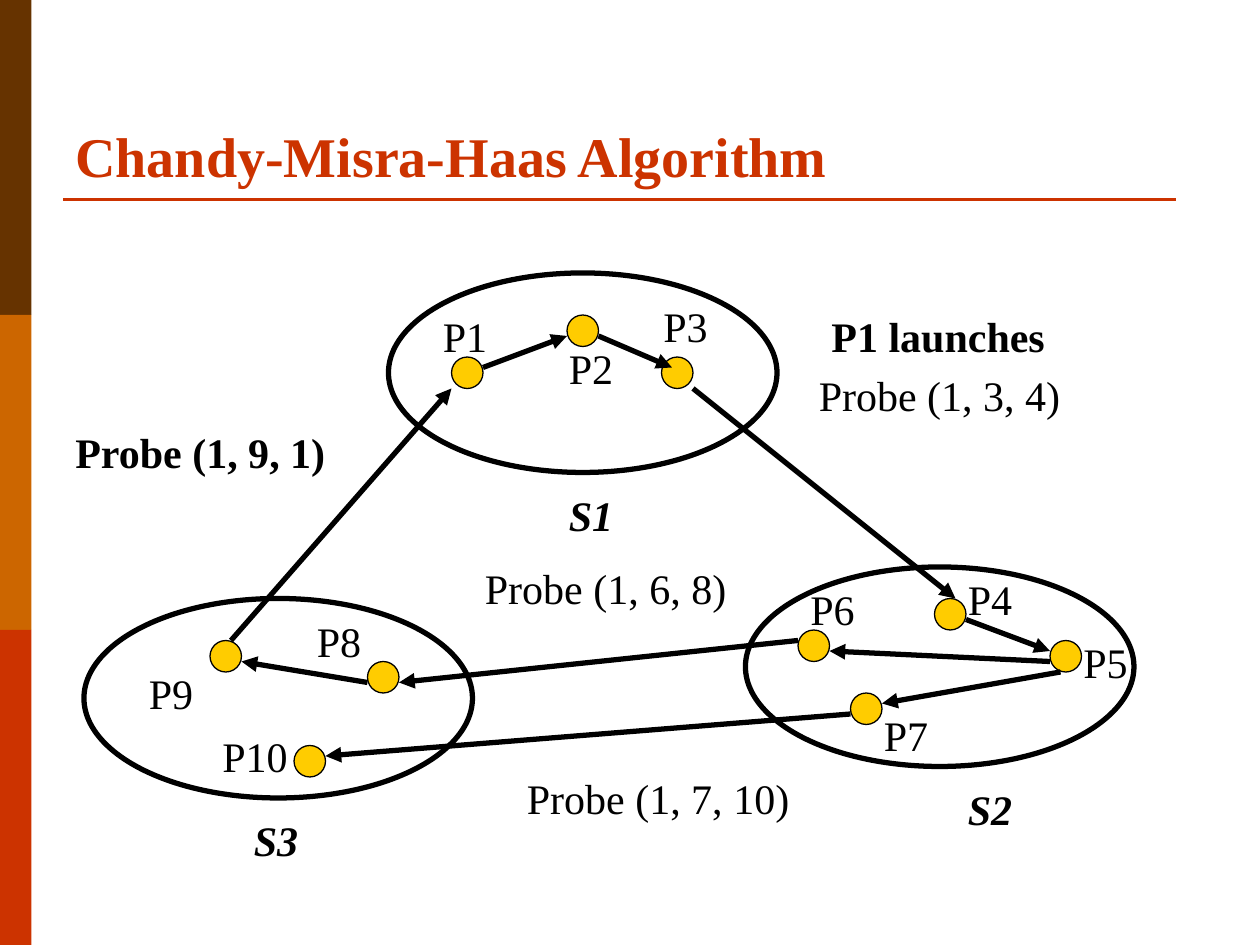
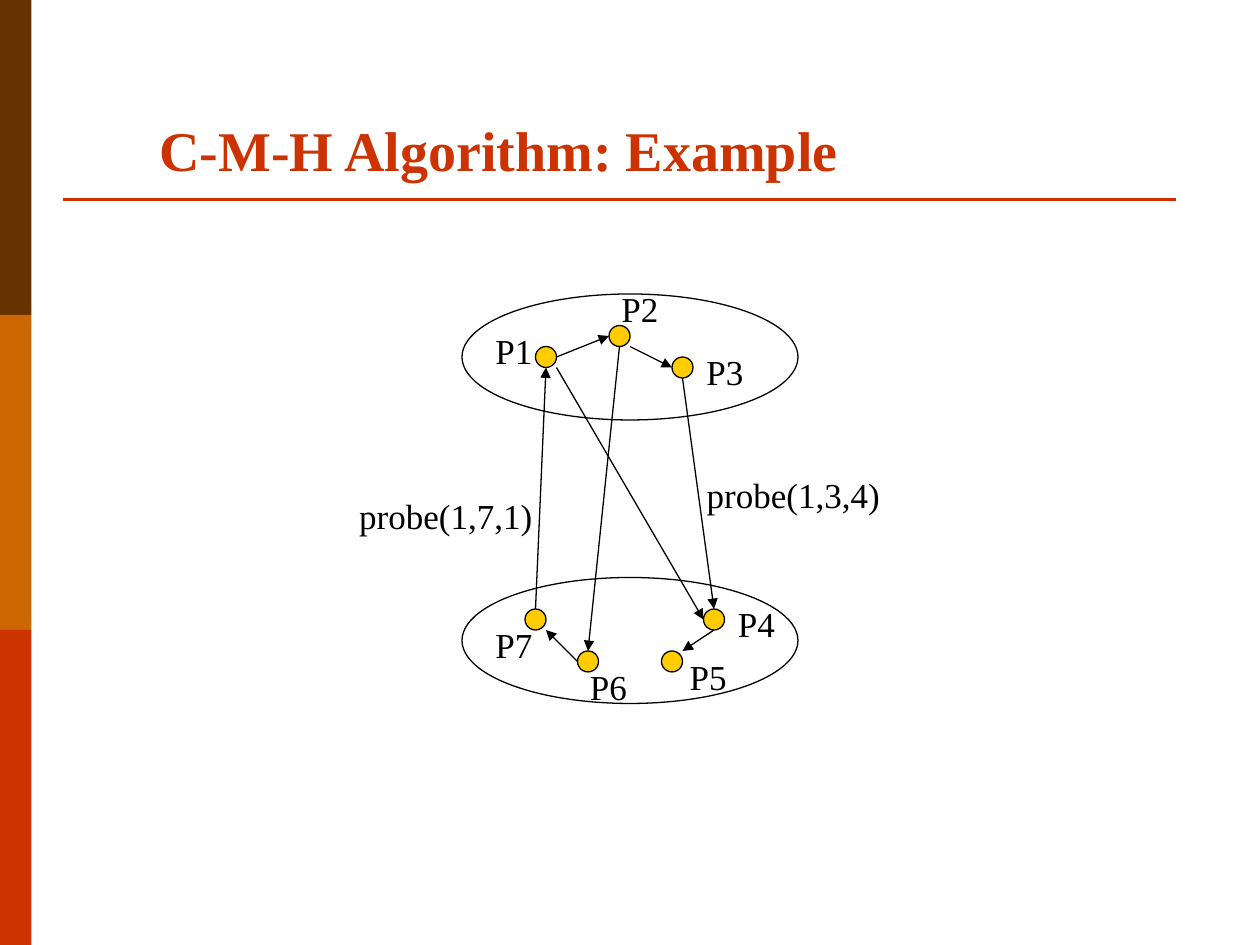
import dataclasses

import pptx
import pptx.util
import pptx.dml.color
import pptx.enum.shapes
import pptx.enum.text
import pptx.oxml.ns

Kind = pptx.enum.shapes.MSO_SHAPE
Align = pptx.enum.text.PP_ALIGN
Anchor = pptx.enum.text.MSO_ANCHOR
Fit = pptx.enum.text.MSO_AUTO_SIZE


@dataclasses.dataclass(frozen=True)
class Theme:
    font: str = "Times New Roman"
    ink: str = "000000"
    accent: str = "CC3300"
    node: str = "FFCC00"
    bands: tuple = ("663300", "CC6600", "CC3300")
    title: int = 32
    large: int = 24
    small: int = 20
    thin: float = 0.75
    rule: float = 1.5
    thick: float = 3


def unit(count):
    """Turn grid steps, twelve to 2.54 cm, into a length."""
    return pptx.util.Cm(count * 2.54 / 12)


def paint(code):
    return pptx.dml.color.RGBColor.from_string(code)


def assign(target, values):
    for name, value in values.items():
        setattr(target, name, value)


class Deck:
    wide, high = 120, 90

    def __init__(self, theme):
        self.theme = theme
        self.file = pptx.Presentation()
        assign(self.file, {"slide_width": unit(self.wide),
                           "slide_height": unit(self.high)})
        self.slide = None

    def start(self, title, box):
        """Add a slide with side bands, rule and title."""
        look = self.theme
        self.slide = self.file.slides.add_slide(self.file.slide_layouts[6])
        step = self.high / len(look.bands)
        for row, color in enumerate(look.bands):
            self.shape(Kind.RECTANGLE, (0, row * step, 3, step), color)
        self.line((6, 19), (112, 19), look.rule, look.accent)
        self.text(title, box, look.title, look.accent, bold=True,
                  anchor=Anchor.BOTTOM, wrap=True)

    def shape(self, kind, box, fill=None, width=None):
        item = self.slide.shapes.add_shape(kind, *map(unit, box))
        item.shadow.inherit = False
        if fill:
            item.fill.solid()
            item.fill.fore_color.rgb = paint(fill)
        else:
            item.fill.background()
        if width:
            item.line.color.rgb = paint(self.theme.ink)
            item.line.width = pptx.util.Pt(width)
        else:
            item.line.fill.background()

    def site(self, box, width):
        self.shape(Kind.OVAL, box, width=width)

    def node(self, spot, size):
        self.shape(Kind.OVAL, (*spot, size, size), self.theme.node, self.theme.thin)

    def line(self, begin, end, width, color=None, arrow=False):
        item = self.slide.shapes.add_connector(
            pptx.enum.shapes.MSO_CONNECTOR.STRAIGHT, *map(unit, begin + end))
        item.line.color.rgb = paint(color or self.theme.ink)
        item.line.width = pptx.util.Pt(width)
        props = item._element.spPr
        if arrow:
            edge = props.find(pptx.oxml.ns.qn("a:ln"))
            edge.append(edge.makeelement(pptx.oxml.ns.qn("a:tailEnd"),
                                         {"type": "triangle"}))
        props.append(props.makeelement(pptx.oxml.ns.qn("a:effectLst")))

    def text(self, words, box, size, color=None, bold=False, italic=False,
             align=Align.LEFT, anchor=Anchor.TOP, wrap=False):
        frame = self.slide.shapes.add_textbox(*map(unit, box)).text_frame
        assign(frame, {"word_wrap": wrap, "vertical_anchor": anchor,
                       "auto_size": Fit.NONE if wrap else Fit.SHAPE_TO_FIT_TEXT})
        para = frame.paragraphs[0]
        assign(para, {"text": words, "alignment": align})
        assign(para.font, {"name": self.theme.font, "size": pptx.util.Pt(size),
                           "bold": bold, "italic": italic})
        para.font.color.rgb = paint(color or self.theme.ink)


def sites(deck):
    """Probes that travel between three sites."""
    look = deck.theme
    deck.start("Chandy-Misra-Haas Algorithm", (6, 3.6, 108, 15))
    for name, spot, label in (
            ("S1", (37, 26), (53, 46)),
            ("S3", (8, 57), (23, 77)),
            ("S2", (71, 54), (91, 74))):
        deck.site((*spot, 37, 19), look.thick)
        deck.text(name, (*label, 6.6, 6), look.large, bold=True, italic=True)

    for name, spot, label in (
            ("P1", (43, 34), (41, 29)),
            ("P2", (54, 30), (53, 32)),
            ("P3", (63, 34), (62, 28)),
            ("P4", (89, 57), (91, 54)),
            ("P5", (100, 61), (102, 60)),
            ("P6", (76, 60), (76, 55)),
            ("P7", (81, 66), (83, 67)),
            ("P8", (35, 63), (29, 58)),
            ("P9", (20, 61), (13, 63)),
            ("P10", (28, 71), (20, 69))):
        deck.node(spot, 3)
        deck.text(name, (*label, 8.6 if name == "P10" else 6.6, 6), look.large)

    for begin, end in (
            ((46, 35), (54, 32)), ((57, 32), (64, 35)),
            ((66, 37), (91, 57)), ((92, 59), (100, 62)),
            ((100, 63), (79, 62)), ((101, 64), (84, 67)),
            ((22, 61), (43, 37)), ((35, 65), (23, 63)),
            ((76, 61), (38, 65)), ((81, 68), (31, 72))):
        deck.line(begin, end, look.thick, arrow=True)

    for words, spot, wide, bold in (
            ("P1 launches", (78, 29), 22.7, True),
            ("Probe (1, 3, 4)", (76.8, 34.6), 25.6, False),
            ("Probe (1, 6, 8)", (45, 53), 25.6, False),
            ("Probe (1, 7, 10)", (49, 73), 27.6, False),
            ("Probe (1, 9, 1)", (6, 40), 26.4, True)):
        deck.text(words, (*spot, wide, 6), look.large, bold=bold)


def sample(deck):
    """A cycle that runs over two sites."""
    look = deck.theme
    deck.start("C-M-H Algorithm: Example", (14, 3, 102, 15))
    for top in (28, 55):
        deck.site((44, top, 32, 12), look.thin)

    labels = [("probe(1,3,4)", (66, 44.4), 19.1),
              ("probe(1,7,1)", (32.9, 46.4), 19.1)]
    for name, spot, label in (
            ("P1", (51, 33), (46, 30.7)),
            ("P2", (58, 31), (58, 26.7)),
            ("P3", (64, 34), (66.1, 32.7)),
            ("P4", (67, 58), (69.1, 56.7)),
            ("P5", (63, 62), (64.5, 61.8)),
            ("P6", (55, 62), (55, 62.7)),
            ("P7", (50, 58), (46, 58.7))):
        deck.node(spot, 2)
        labels.append((name, label, 5.9))

    for begin, end in (
            ((53, 34), (58, 32)), ((60, 33), (64, 35)),
            ((65, 36), (68, 58)), ((59, 33), (56, 62)),
            ((68, 60), (65, 62)), ((55, 63), (52, 60)),
            ((51, 58), (52, 35)), ((53, 35), (67, 59))):
        deck.line(begin, end, look.thin, arrow=True)

    for words, spot, wide in labels:
        deck.text(words, (*spot, wide, 5.3), look.small,
                  align=Align.CENTER, anchor=Anchor.MIDDLE)


def main():
    deck = Deck(Theme())
    sites(deck)
    sample(deck)
    deck.file.save("out.pptx")


if __name__ == "__main__":
    main()
